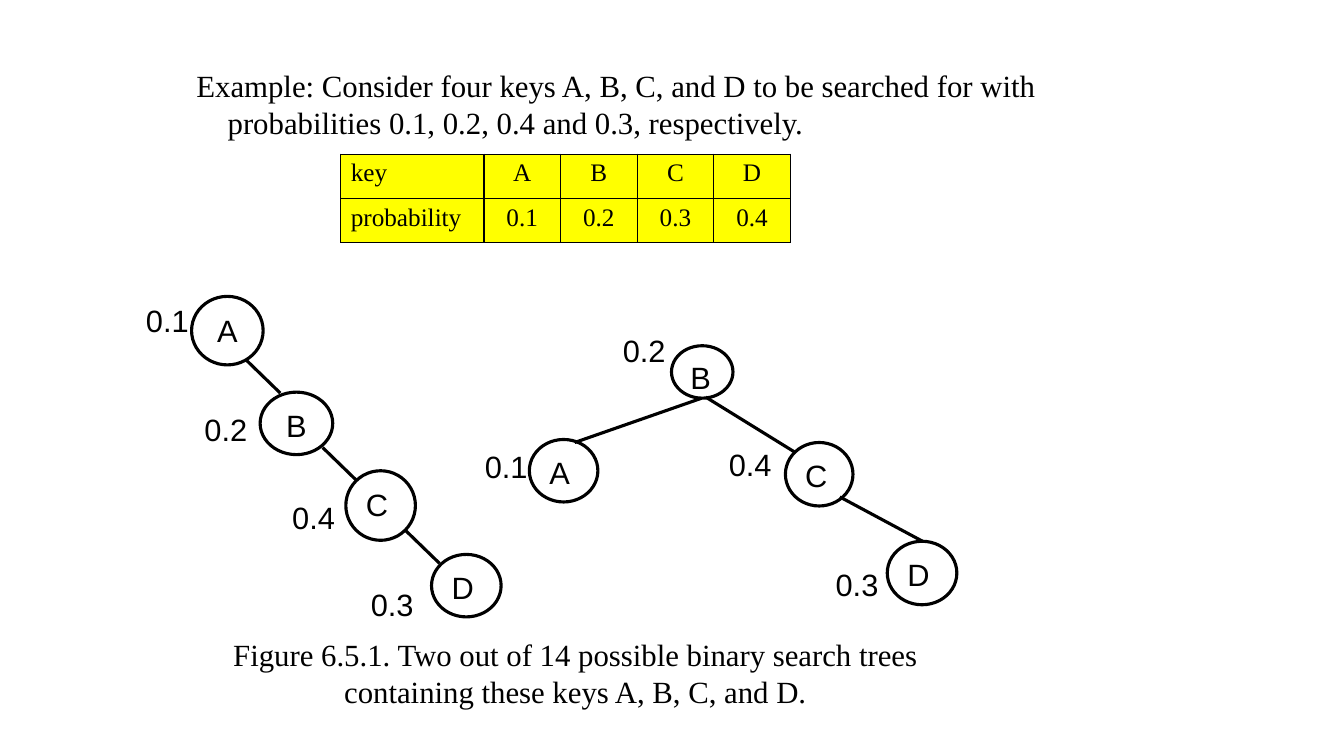
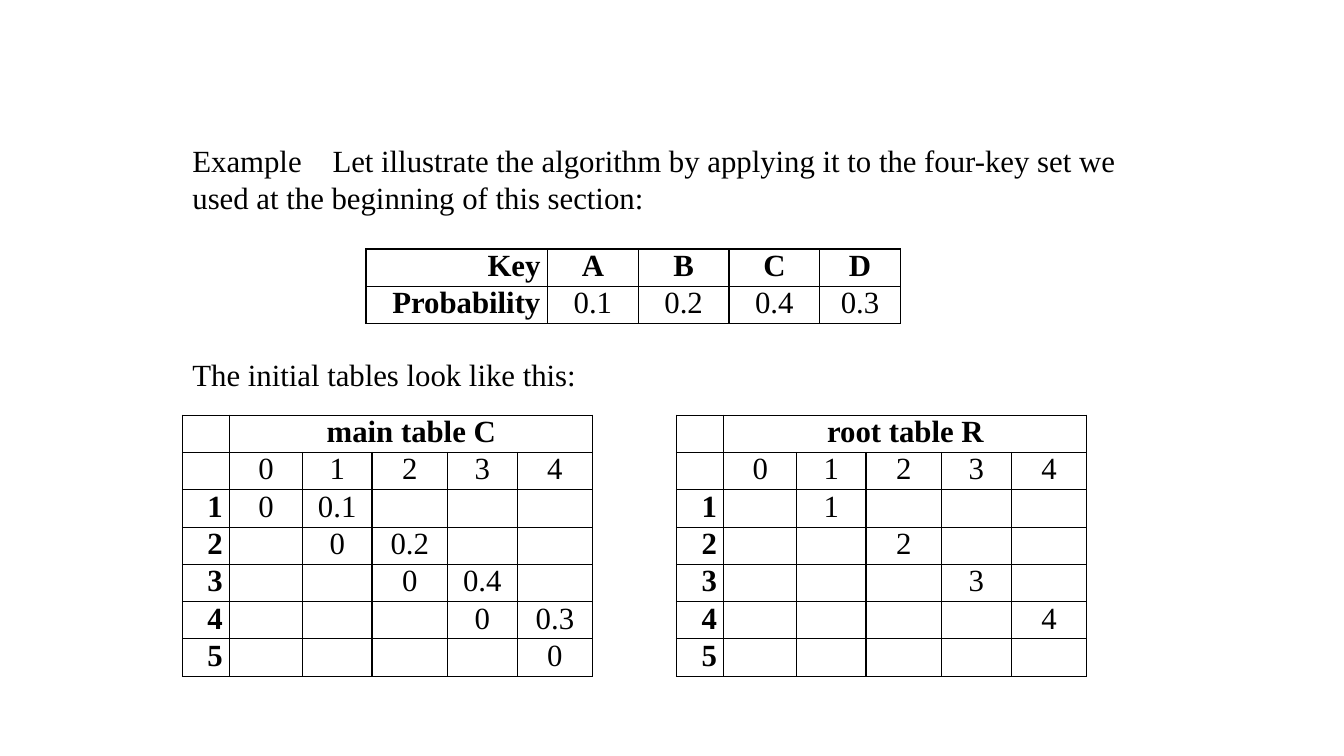
from dataclasses import dataclass

from lxml import etree
from pptx import Presentation
from pptx.dml.color import RGBColor
from pptx.enum.shapes import MSO_CONNECTOR, MSO_SHAPE
from pptx.enum.text import MSO_ANCHOR, PP_ALIGN
from pptx.oxml.ns import qn
from pptx.util import Emu, Pt

LEFT, CENTER, RIGHT = PP_ALIGN.LEFT, PP_ALIGN.CENTER, PP_ALIGN.RIGHT
TOP = MSO_ANCHOR.TOP
OVAL, STRAIGHT = MSO_SHAPE.OVAL, MSO_CONNECTOR.STRAIGHT

BLACK = RGBColor(0x00, 0x00, 0x00)
WHITE = RGBColor(0xFF, 0xFF, 0xFF)
YELLOW = RGBColor(0xFF, 0xFF, 0x00)

SERIF, SANS = "Times New Roman", "Arial"
BODY_SIZE = 22
TREE_LINE = 2.25
BORDER = 1
EMU_PER_PX = 9144  # 100 px to the inch


def px(length: int) -> Emu:
    return Emu(length * EMU_PER_PX)


@dataclass(frozen=True)
class Node:
    """A tree node with its key, and its probability label beside it."""
    key: str
    box: tuple[int, int, int, int]
    probability: str
    label_at: tuple[int, int]
    align: PP_ALIGN = LEFT


@dataclass(frozen=True)
class Edge:
    start: tuple[int, int]
    end: tuple[int, int]


@dataclass(frozen=True)
class Grid:
    """A bordered table: its place, its cells and the look of its text."""
    at: tuple[int, int]
    columns: tuple[int, ...]
    row_height: int
    rows: list[list[str]]
    fill: RGBColor = WHITE
    size: int = BODY_SIZE
    margins: tuple[int, int] = (7, 0)
    head_align: PP_ALIGN = RIGHT
    bold_heads: bool = True
    title_span: bool = False


# Content of the two trees
NODES = [
    Node("A", (190, 294, 71, 68), "0.1", (135, 294), CENTER),
    Node("B", (258, 389, 72, 62), "0.2", (193, 403), CENTER),
    Node("C", (343, 467, 69, 69), "0.4", (280, 490)),
    Node("D", (428, 550, 69, 62), "0.3", (358, 576)),
    Node("B", (666, 343, 61, 52), "0.2", (608, 324)),
    Node("A", (525, 436, 68, 62), "0.1", (471, 439)),
    Node("C", (779, 439, 67, 63), "0.4", (713, 437)),
    Node("D", (880, 537, 69, 63), "0.3", (819, 556)),
]
EDGES = [
    Edge((244, 357), (278, 390)),
    Edge((320, 444), (354, 477)),
    Edge((402, 526), (436, 559)),
    Edge((696, 395), (570, 439)),
    Edge((700, 394), (789, 449)),
    Edge((833, 493), (915, 537)),
]

# Content of the tables
KEYS = ["A", "B", "C", "D"]
PROBABILITIES = ["0.1", "0.2", "0.4", "0.3"]
MATRIX_COLUMNS = (47, 72, 69, 75, 69, 75)


def write_text(frame, text: str, *, font: str = SERIF, size: int = BODY_SIZE,
               bold: bool = False, align: PP_ALIGN = LEFT, wrap: bool = True,
               hanging: int = 0, tab: int = 0) -> None:
    frame.word_wrap = wrap
    paragraph = frame.paragraphs[0]
    paragraph.alignment = align
    properties = paragraph._p.get_or_add_pPr()
    if hanging:
        properties.set("marL", str(px(hanging)))
        properties.set("indent", str(-px(hanging)))
    if tab:
        stops = etree.SubElement(properties, qn("a:tabLst"))
        etree.SubElement(stops, qn("a:tab"), pos=str(px(tab)), algn="l")
    run = paragraph.add_run()
    run.text = text
    run.font.name, run.font.size = font, Pt(size)
    run.font.bold, run.font.color.rgb = bold, BLACK


def add_text(slide, box: tuple[int, int, int, int], text: str, **text_format) -> None:
    frame = slide.shapes.add_textbox(*map(px, box)).text_frame
    write_text(frame, text, **text_format)


def add_node(slide, node: Node) -> None:
    circle = slide.shapes.add_shape(OVAL, *map(px, node.box))
    circle.shadow.inherit = False
    circle.fill.solid()
    circle.fill.fore_color.rgb = WHITE
    circle.line.color.rgb = BLACK
    circle.line.width = Pt(TREE_LINE)
    circle.text_frame.vertical_anchor = TOP
    write_text(circle.text_frame, node.key, font=SANS, align=node.align)
    add_text(slide, (*node.label_at, 63, 47), node.probability, font=SANS, wrap=False)


def add_edge(slide, edge: Edge) -> None:
    branch = slide.shapes.add_connector(STRAIGHT, *map(px, edge.start + edge.end))
    branch.line.color.rgb = BLACK
    branch.line.width = Pt(TREE_LINE)
    etree.SubElement(branch._element.spPr, qn("a:effectLst"))


def set_borders(cell) -> None:
    properties = cell._tc.get_or_add_tcPr()
    for order, side in enumerate(("lnL", "lnR", "lnT", "lnB")):
        border = etree.Element(qn(f"a:{side}"), w=str(Pt(BORDER)))
        fill = etree.SubElement(border, qn("a:solidFill"))
        etree.SubElement(fill, qn("a:srgbClr"), val=str(BLACK))
        properties.insert(order, border)


def add_grid(slide, grid: Grid) -> None:
    size = (sum(grid.columns), grid.row_height * len(grid.rows))
    table = slide.shapes.add_table(len(grid.rows), len(grid.columns),
                                   *map(px, grid.at + size)).table
    table.first_row = table.horz_banding = False
    for column, width in zip(table.columns, grid.columns):
        column.width = px(width)
    for r, row in enumerate(grid.rows):
        table.rows[r].height = px(grid.row_height)
        for c, text in enumerate(row):
            cell = table.cell(r, c)
            cell.fill.solid()
            cell.fill.fore_color.rgb = grid.fill
            set_borders(cell)
            cell.margin_left = cell.margin_right = px(grid.margins[0])
            cell.margin_top = cell.margin_bottom = px(grid.margins[1])
            if text:
                write_text(cell.text_frame, text, size=grid.size,
                           bold=grid.bold_heads and (r == 0 or c == 0),
                           align=CENTER if c else grid.head_align)
    if grid.title_span:
        table.cell(0, 1).merge(table.cell(0, len(grid.columns) - 1))


def matrix_rows(title: str, diagonal: list[str], below: str) -> list[list[str]]:
    """Rows 1 to 5 by columns 0 to 4, filled on and just below the diagonal."""
    count = len(diagonal)
    rows = [["", title] + [""] * count,
            ["", *map(str, range(count + 1))]]
    for i in range(1, count + 2):
        values = [""] * (count + 1)
        values[i - 1] = below
        if i <= count:
            values[i] = diagonal[i - 1]
        rows.append([str(i), *values])
    return rows


def build_trees_slide(slide) -> None:
    # Problem statement
    add_text(slide, (185, 61, 900, 84),
             "Example: Consider four keys A, B, C, and D to be searched for with "
             "probabilities 0.1, 0.2, 0.4 and 0.3, respectively.", hanging=31)
    add_grid(slide, Grid((338, 153), (142, 76, 76, 76, 76), 44,
                         [["key", *KEYS],
                          ["probability", "0.1", "0.2", "0.3", "0.4"]],
                         fill=YELLOW, size=18, margins=(10, 5),
                         head_align=LEFT, bold_heads=False))
    # Two search trees
    for node in NODES:
        add_node(slide, node)
    for edge in EDGES:
        add_edge(slide, edge)
    # Caption
    add_text(slide, (205, 626, 731, 84),
             "Figure 6.5.1. Two out of 14 possible binary search trees "
             "containing these keys A, B, C, and D.", align=CENTER)


def build_tables_slide(slide) -> None:
    # Key set
    add_text(slide, (181, 136, 982, 84),
             "Example\tLet illustrate the algorithm by applying it to the four-key "
             "set we used at the beginning of this section:", tab=139)
    add_grid(slide, Grid((363, 247), (180, 90, 90, 90, 80), 37,
                         [["Key", *KEYS], ["Probability", *PROBABILITIES]]))
    # Initial tables
    add_text(slide, (181, 348, 405, 47), "The initial tables look like this:", wrap=False)
    roots = [str(i) for i in range(1, len(KEYS) + 1)]
    for left, rows in ((181, matrix_rows("main table C", PROBABILITIES, "0")),
                       (671, matrix_rows("root table R", roots, ""))):
        add_grid(slide, Grid((left, 412), MATRIX_COLUMNS, 37, rows, title_span=True))


def main() -> None:
    deck = Presentation()
    deck.slide_width, deck.slide_height = px(1333), px(750)
    blank = deck.slide_layouts[6]
    for build in (build_trees_slide, build_tables_slide):
        build(deck.slides.add_slide(blank))
    deck.save("out.pptx")


if __name__ == "__main__":
    main()
